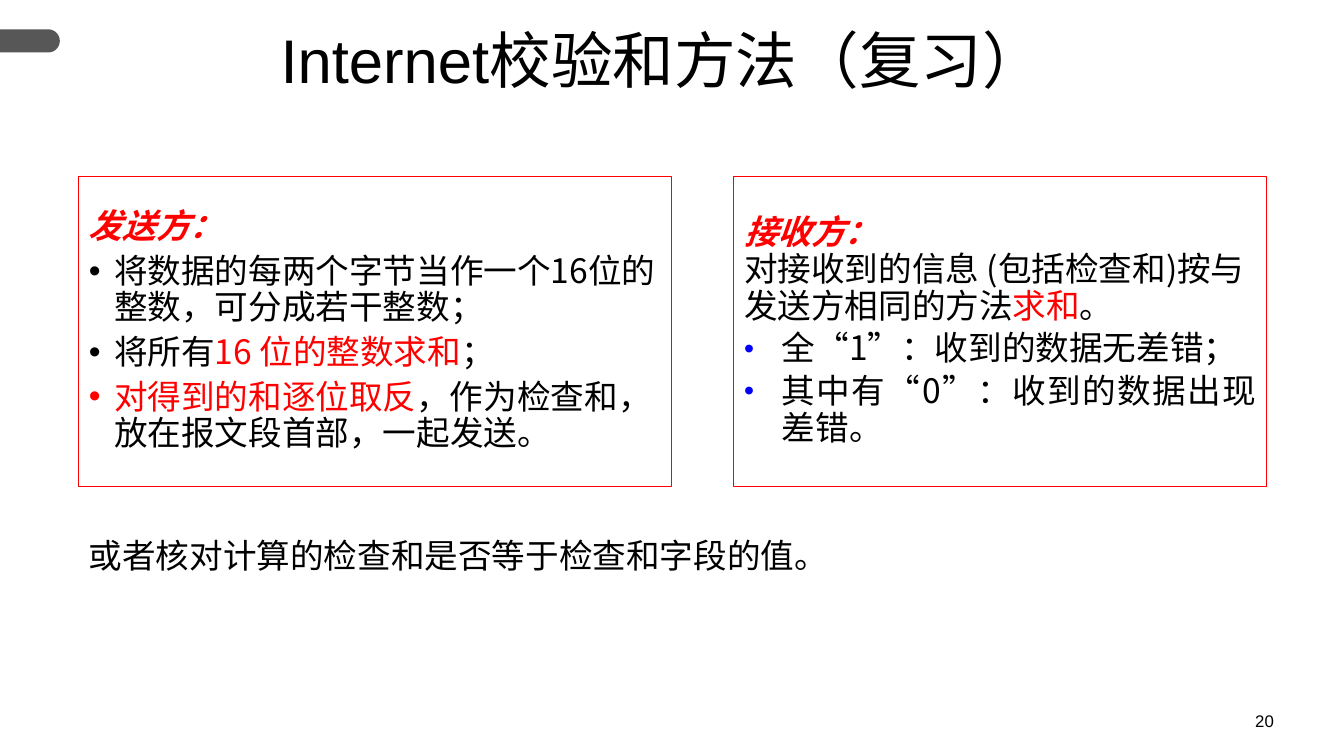
from dataclasses import dataclass
from math import cos, pi, sin

from lxml.etree import SubElement
from pptx import Presentation
from pptx.dml.color import RGBColor
from pptx.enum.text import MSO_ANCHOR, MSO_AUTO_SIZE, PP_ALIGN
from pptx.oxml.ns import qn
from pptx.util import Pt

EMU_PER_PX = 9525


@dataclass(frozen=True)
class Theme:
    black: str = "000000"
    red: str = "FF0000"
    blue: str = "0000FF"
    grey: str = "575757"
    latin: str = "Arial"
    chinese: str = "Noto Sans CJK SC"
    casual: str = "Comic Neue"
    title_size: int = 44
    body_size: int = 24
    number_size: int = 12


THEME = Theme()


def px(length):
    return round(length * EMU_PER_PX)


def rgb(value):
    return RGBColor.from_string(value)


def place(shape, left, top, width, height):
    shape.left, shape.top = px(left), px(top)
    shape.width, shape.height = px(width), px(height)


def set_bullet(paragraph, indent, color, percent):
    properties = paragraph._p.get_or_add_pPr()
    properties.set("marL", str(px(indent)))
    properties.set("indent", str(-px(indent)))
    if not indent:
        SubElement(properties, qn("a:buNone"))
        return
    if color:
        SubElement(SubElement(properties, qn("a:buClr")), qn("a:srgbClr"), val=color)
    SubElement(properties, qn("a:buSzPct"), val=str(percent * 1000))
    SubElement(properties, qn("a:buFont"), typeface=THEME.latin)
    SubElement(properties, qn("a:buChar"), char="•")


def write(frame, *parts, size=THEME.body_size, font=THEME.chinese, strong=False,
          align=PP_ALIGN.LEFT, spacing=1.0, before=0, indent=0,
          bullet_color=None, bullet_percent=100):
    first = not frame.text
    paragraph = frame.paragraphs[0] if first else frame.add_paragraph()
    set_bullet(paragraph, indent, bullet_color, bullet_percent)
    paragraph.alignment = align
    paragraph.line_spacing = spacing
    paragraph.space_before = Pt(0 if first else before)
    for text, color in parts:
        run = paragraph.add_run()
        run.text = text
        run.font.size = Pt(size)
        run.font.name = font
        run.font.bold = run.font.italic = strong
        run.font.color.rgb = rgb(color)
        SubElement(run._r.get_or_add_rPr(), qn("a:ea"), typeface=THEME.chinese)


def prepare(shape, anchor):
    frame = shape.text_frame
    frame.word_wrap = True
    frame.auto_size = MSO_AUTO_SIZE.NONE
    frame.vertical_anchor = anchor
    return frame


def add_label(slide, left, top, width, height):
    label = slide.shapes.add_textbox(px(left), px(top), px(width), px(height))
    return prepare(label, MSO_ANCHOR.TOP)


def frame_panel(panel, left, width):
    place(panel, left, 168, width, 295)
    panel.line.color.rgb = rgb(THEME.red)
    panel.line.width = Pt(0.75)
    return prepare(panel, MSO_ANCHOR.MIDDLE)


def add_side_tab(slide):
    radius, center_x, center_y = 11, 46, 39
    angles = [-pi / 2 + pi * step / 24 for step in range(25)]
    arc = [(px(center_x + radius * cos(a)), px(center_y + radius * sin(a))) for a in angles]
    builder = slide.shapes.build_freeform(0, px(center_y - radius))
    builder.add_line_segments(arc + [(0, px(center_y + radius))], close=True)
    tab = builder.convert_to_shape()
    tab.shadow.inherit = False
    tab.fill.solid()
    tab.fill.fore_color.rgb = rgb(THEME.grey)
    tab.line.fill.background()


def fill_sender(frame):
    black, red = THEME.black, THEME.red
    write(frame, ("发送方：", red), strong=True, spacing=0.9)
    steps = [
        [("将数据的每两个字节当作一个16位的整数，可分成若干整数；", black)],
        [("将所有", black), ("16 位的整数求和", red), ("；", black)],
        [("对得到的和逐位取反", red), ("，作为检查和，放在报文段首部，一起发送。", black)],
    ]
    for step in steps:
        write(frame, *step, spacing=0.9, before=6, indent=24)


def fill_receiver(frame):
    black, red = THEME.black, THEME.red
    write(frame, ("接收方：", red), strong=True, spacing=0.92)
    write(frame, ("对接收到的信息 (包括检查和)按与发送方相同的方法", black),
          ("求和", red), ("。", black), spacing=0.92)
    for outcome in ("全“1”：收到的数据无差错；", "其中有“0”：收到的数据出现差错。"):
        write(frame, (outcome, black), align=PP_ALIGN.JUSTIFY, spacing=0.92, before=4,
              indent=36, bullet_color=THEME.blue, bullet_percent=85)


def main():
    deck = Presentation()
    deck.slide_width, deck.slide_height = px(1280), px(720)
    slide = deck.slides.add_slide(deck.slide_layouts[3])
    title, sender, receiver = slide.placeholders

    add_side_tab(slide)
    place(title, 0, 24, 1262, 120)
    write(prepare(title, MSO_ANCHOR.TOP), ("Internet校验和方法（复习）", THEME.black),
          size=THEME.title_size, font=THEME.latin, align=PP_ALIGN.CENTER, spacing=0.9)
    fill_sender(frame_panel(sender, 75, 565))
    fill_receiver(frame_panel(receiver, 699, 507))
    write(add_label(slide, 75, 505, 1045, 48),
          ("或者核对计算的检查和是否等于检查和字段的值。", THEME.black), font=THEME.casual)
    write(add_label(slide, 1186, 672, 94, 48), ("20", THEME.black),
          size=THEME.number_size, font=THEME.latin)
    deck.save("out.pptx")


if __name__ == "__main__":
    main()
